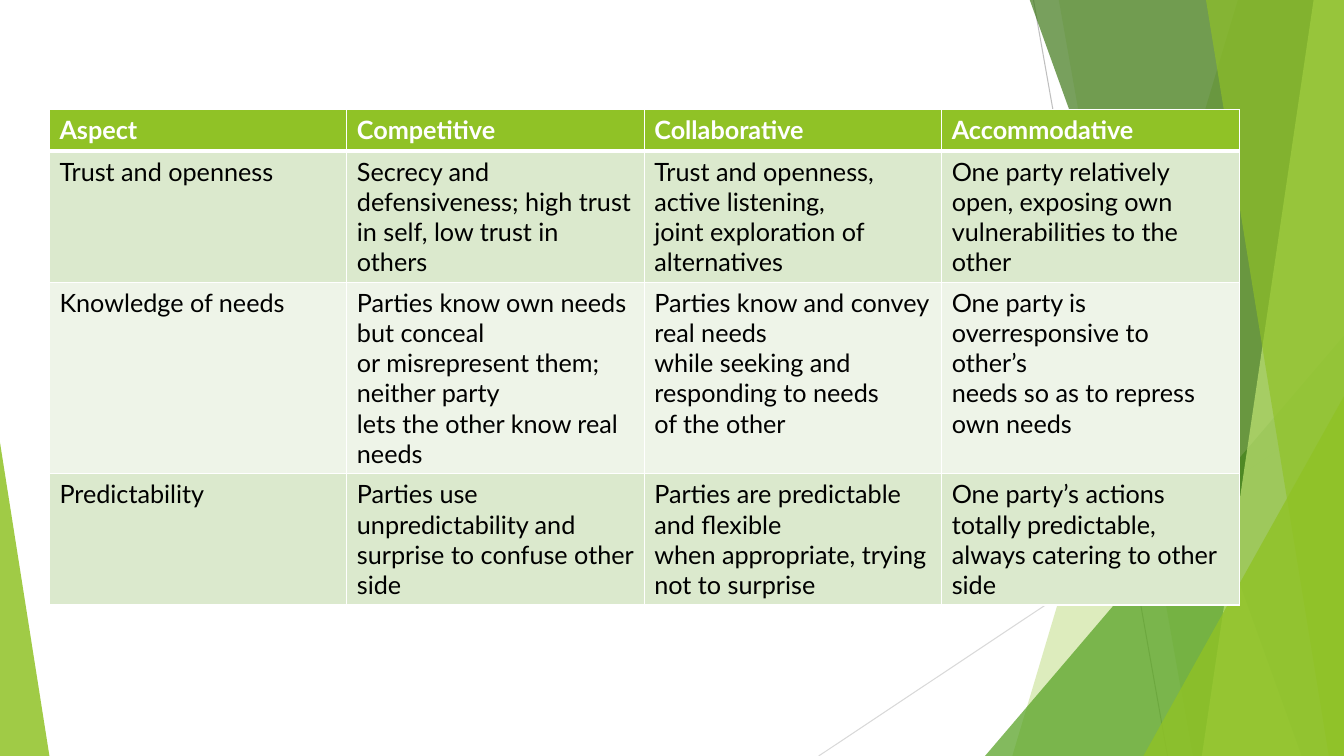
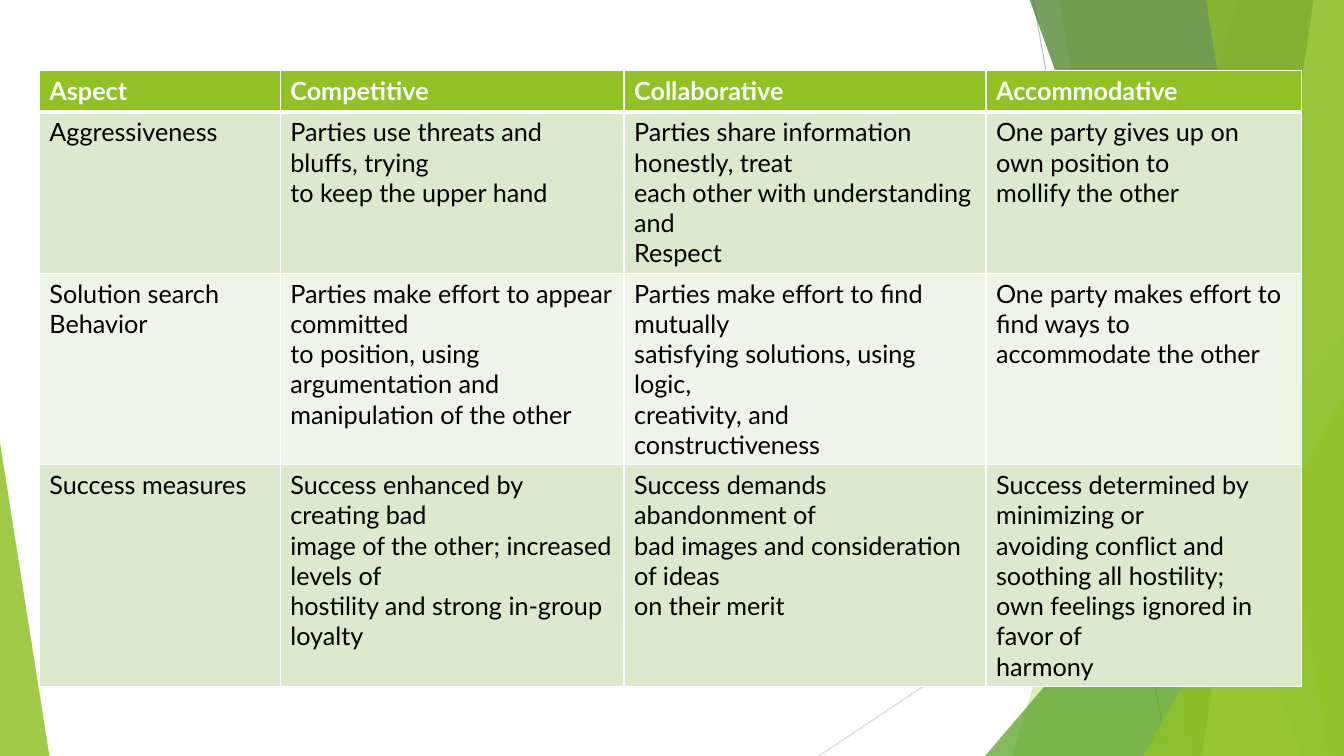
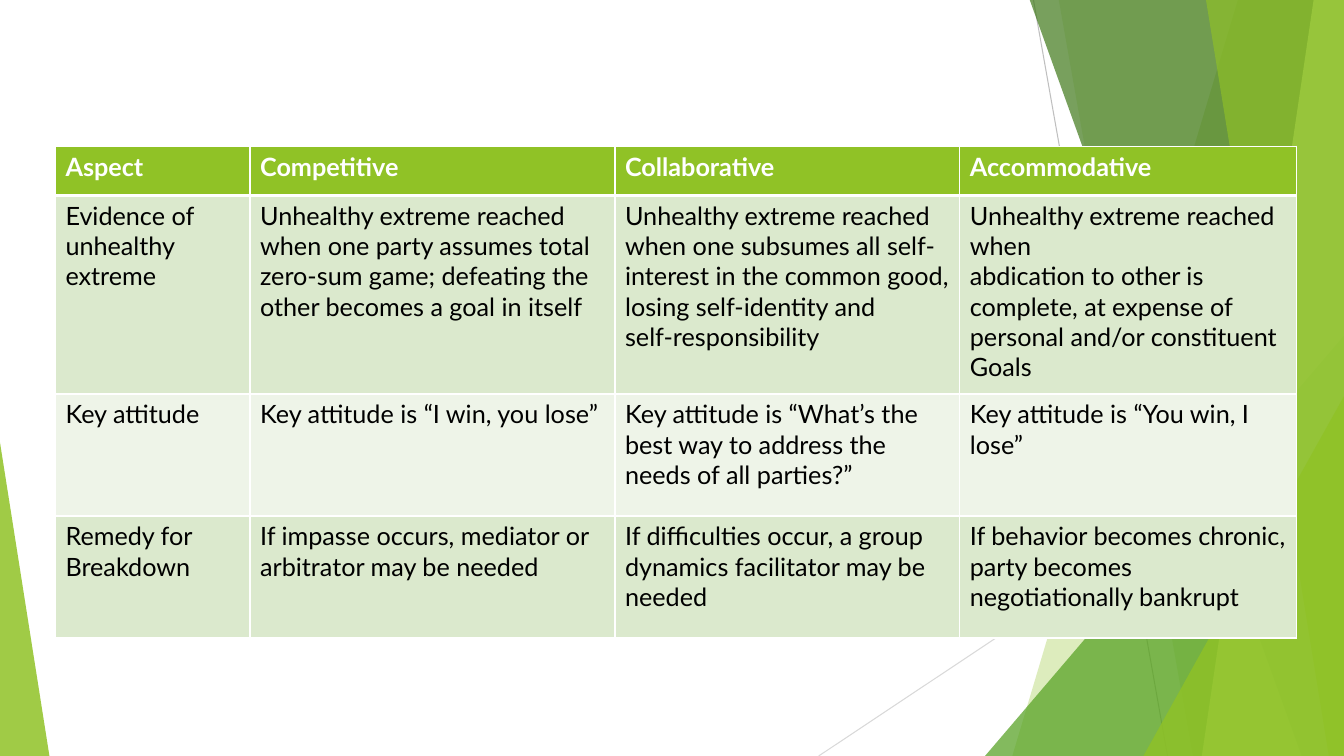
from dataclasses import dataclass

from lxml import etree
from pptx import Presentation
from pptx.dml.color import RGBColor
from pptx.enum.shapes import MSO_CONNECTOR, MSO_SHAPE
from pptx.oxml.ns import qn
from pptx.util import Pt

STRAIGHT = MSO_CONNECTOR.STRAIGHT
TRIANGLE = MSO_SHAPE.ISOSCELES_TRIANGLE

PX = 9144  # EMU in one px, 100 px to the inch
WIDE, HIGH = 1333, 750
BLANK = 6

HEX = {
    "lime": "90C226",
    "green": "54A021",
    "dark": "3F7819",
    "pale": "C0E474",
    "gray": "BFBFBF",
    "mist": "D9D9D9",
    "odd": "DBE9CD",
    "even": "EEF4E8",
    "white": "FFFFFF",
    "black": "000000",
}
FONT = {"name": "Lato", "size": Pt(18)}
HEAD = ("Aspect", "Competitive", "Collaborative", "Accommodative")


@dataclass
class Ray:
    start: tuple[int, int]
    end: tuple[int, int]
    tint: str


@dataclass
class Band:
    """Strip from the top edge to the foot, closed by the right edge."""
    top: int
    foot: int
    tint: str
    alpha: int


@dataclass
class Wedge:
    """Triangle standing on the foot of the slide."""
    left: int
    top: int
    width: int
    peak: int
    tint: str
    alpha: int


@dataclass
class Grid:
    left: int
    top: int
    cols: tuple[int, ...]
    rows: tuple[int, ...]
    body: list[tuple[str, ...]]


DECOR = [
    Ray((1025, 0), (1158, 750), "gray"),
    Ray((1333, 403), (812, 750), "mist"),
    Band(1228, 1004, "lime", 30),
    Band(1050, 1183, "lime", 20),
    Wedge(977, 333, 356, 1, "green", 72),
    Band(1021, 1291, "dark", 70),
    Band(1303, 1192, "pale", 70),
    Band(1196, 1318, "lime", 65),
    Wedge(1134, 393, 199, 1, "lime", 80),
    Wedge(0, 439, 49, 0, "lime", 85),
]

# One table a slide; each line of a cell is a paragraph
GRIDS = [
    Grid(49, 109, (295,) * 4, (41,) * 4, [
        ("Trust and openness",
         "Secrecy and defensiveness; high trust\nin self, low trust in others",
         "Trust and openness, active listening,\njoint exploration of alternatives",
         "One party relatively open, exposing own\nvulnerabilities to the other"),
        ("Knowledge of needs",
         "Parties know own needs but conceal\nor misrepresent them; neither party\n"
         "lets the other know real needs",
         "Parties know and convey real needs\nwhile seeking and responding to needs\n"
         "of the other",
         "One party is overresponsive to other’s\nneeds so as to repress own needs"),
        ("Predictability",
         "Parties use unpredictability and\nsurprise to confuse other side",
         "Parties are predictable and flexible\nwhen appropriate, trying not to surprise",
         "One party’s actions totally predictable,\nalways catering to other side"),
    ]),
    Grid(39, 70, (239, 341, 359, 313), (41,) * 4, [
        ("Aggressiveness",
         "Parties use threats and bluffs, trying\nto keep the upper hand",
         "Parties share information honestly, treat\neach other with understanding and\n"
         "Respect",
         "One party gives up on own position to\nmollify the other"),
        ("Solution search\nBehavior",
         "Parties make effort to appear committed\nto position, using argumentation and\n"
         "manipulation of the other",
         "Parties make effort to find mutually\nsatisfying solutions, using logic,\n"
         "creativity, and constructiveness",
         "One party makes effort to find ways to\naccommodate the other"),
        ("Success measures",
         "Success enhanced by creating bad\nimage of the other; increased levels of\n"
         "hostility and strong in-group loyalty",
         "Success demands abandonment of\nbad images and consideration of ideas\n"
         "on their merit",
         "Success determined by minimizing or\n"
         "avoiding conflict and soothing all hostility;\n"
         "own feelings ignored in favor of\nharmony"),
    ]),
    Grid(55, 145, (193, 362, 342, 334), (49, 197, 121, 121), [
        ("Evidence of\nunhealthy extreme",
         "Unhealthy extreme reached when one party assumes total zero-sum game; "
         "defeating the other becomes a goal in itself",
         "Unhealthy extreme reached when one subsumes all self-interest in the "
         "common good, losing self-identity and\nself-responsibility",
         "Unhealthy extreme reached when\nabdication to other is complete, "
         "at expense of personal and/or constituent Goals"),
        ("Key attitude",
         "Key attitude is “I win, you lose”",
         "Key attitude is “What’s the best way to address the needs of all parties?”",
         "Key attitude is “You win, I lose”"),
        ("Remedy for\nBreakdown",
         "If impasse occurs, mediator or arbitrator may be needed",
         "If difficulties occur, a group dynamics facilitator may be needed",
         "If behavior becomes chronic, party becomes negotiationally bankrupt"),
    ]),
]


def rgb(name: str) -> RGBColor:
    return RGBColor.from_string(HEX[name])


def paint(shape, tint: str, alpha: int) -> None:
    """Give a flat, see-through fill without outline or shadow."""
    shape.shadow.inherit = False
    shape.fill.solid()
    shape.fill.fore_color.rgb = rgb(tint)
    shape.line.fill.background()
    tone = shape.element.find(".//" + qn("a:srgbClr"))
    etree.SubElement(tone, qn("a:alpha"), val=str(alpha * 1000))


def draw_ray(shapes, ray: Ray) -> None:
    ends = [v * PX for v in ray.start + ray.end]
    line = shapes.add_connector(STRAIGHT, *ends)
    line.line.color.rgb = rgb(ray.tint)
    line.line.width = Pt(0.75)
    etree.SubElement(line.element.spPr, qn("a:effectLst"))


def draw_band(shapes, band: Band) -> None:
    path = shapes.build_freeform(band.top, -1, scale=PX)
    path.add_line_segments([(WIDE, -1), (WIDE, HIGH), (band.foot, HIGH)])
    paint(path.convert_to_shape(), band.tint, band.alpha)


def draw_wedge(shapes, wedge: Wedge) -> None:
    box = (wedge.left, wedge.top, wedge.width, HIGH - wedge.top)
    shape = shapes.add_shape(TRIANGLE, *(v * PX for v in box))
    shape.adjustments[0] = wedge.peak
    paint(shape, wedge.tint, wedge.alpha)


DRAW = {Ray: draw_ray, Band: draw_band, Wedge: draw_wedge}


def dress(deck, layout) -> None:
    """Draw the backdrop once and hand it to the layout."""
    slide = deck.slides[0]
    for part in DECOR:
        DRAW[type(part)](slide.shapes, part)
    for shape in list(slide.shapes):
        layout.shapes.element.append(shape.element)


def edge(cell, side: str, width: int) -> None:
    """Add one white border to a cell."""
    props = cell._tc.get_or_add_tcPr()
    line = etree.SubElement(props, qn("a:ln" + side), w=str(Pt(width)))
    fill = etree.SubElement(line, qn("a:solidFill"))
    etree.SubElement(fill, qn("a:srgbClr"), val=HEX["white"])


def fill_cell(cell, text: str, row: int) -> None:
    head = row == 0
    # Borders come before the fill in the cell's XML
    sides = {"L": 1, "R": 1, "T": 3 if row == 1 else 1, "B": 3 if head else 1}
    for side, width in sides.items():
        edge(cell, side, width)
    cell.fill.solid()
    cell.fill.fore_color.rgb = rgb("lime" if head else "odd" if row % 2 else "even")
    cell.text = text
    for para in cell.text_frame.paragraphs:
        for run in para.runs:
            for key, value in {**FONT, "bold": head}.items():
                setattr(run.font, key, value)
            run.font.color.rgb = rgb("white" if head else "black")


def draw_grid(slide, grid: Grid) -> None:
    box = (grid.left, grid.top, sum(grid.cols), sum(grid.rows))
    frame = slide.shapes.add_table(
        len(grid.rows), len(grid.cols), *(v * PX for v in box))
    table = frame.table
    table.first_row = table.horz_banding = False
    for col, width in zip(table.columns, grid.cols):
        col.width = width * PX
    for row, height in zip(table.rows, grid.rows):
        row.height = height * PX
    for r, texts in enumerate([HEAD, *grid.body]):
        for c, text in enumerate(texts):
            fill_cell(table.cell(r, c), text, r)


def main() -> None:
    deck = Presentation()
    deck.slide_width, deck.slide_height = WIDE * PX, HIGH * PX
    layout = deck.slide_layouts[BLANK]
    slides = [deck.slides.add_slide(layout) for _ in GRIDS]
    dress(deck, layout)
    for slide, grid in zip(slides, GRIDS):
        draw_grid(slide, grid)
    deck.save("out.pptx")


if __name__ == "__main__":
    main()
